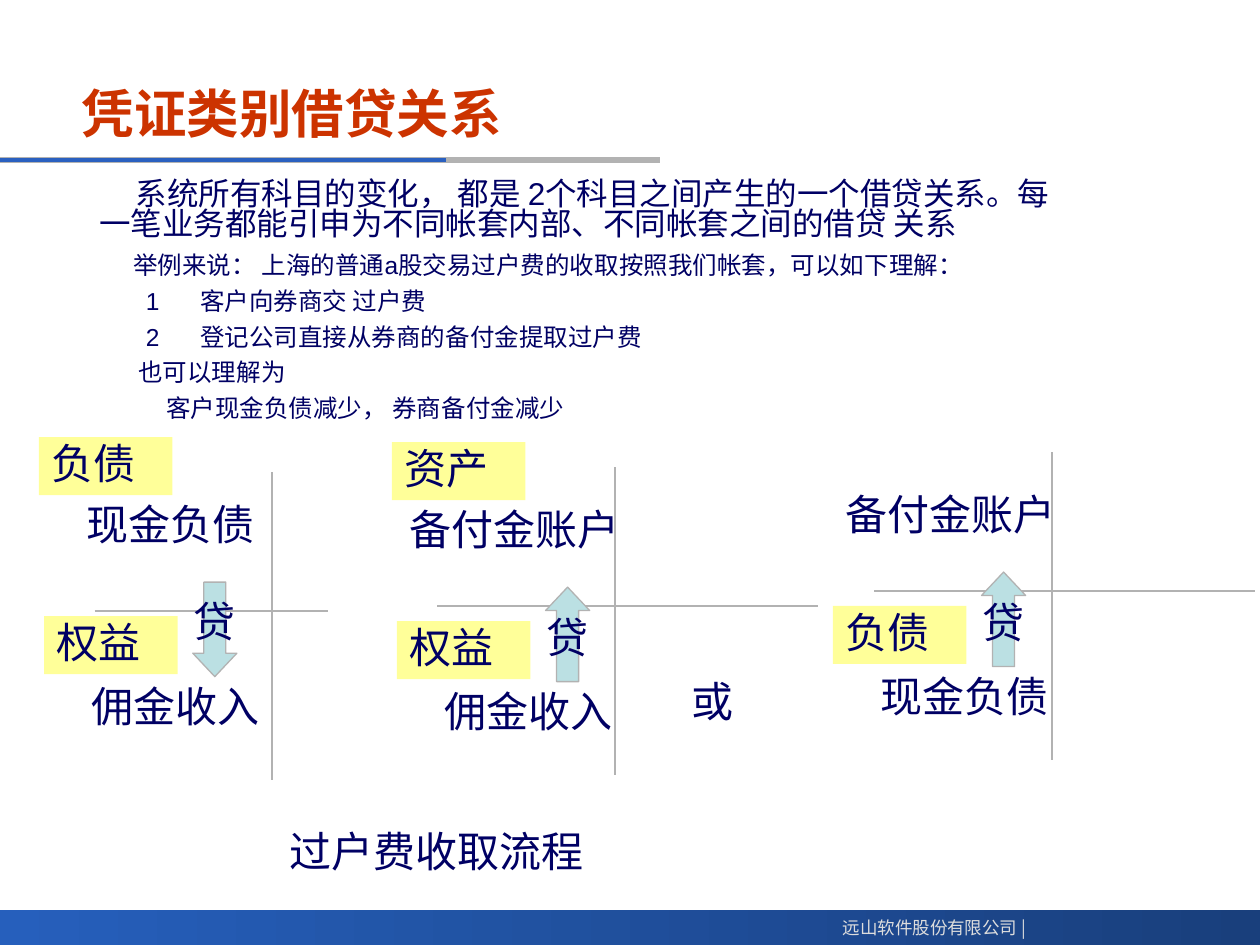
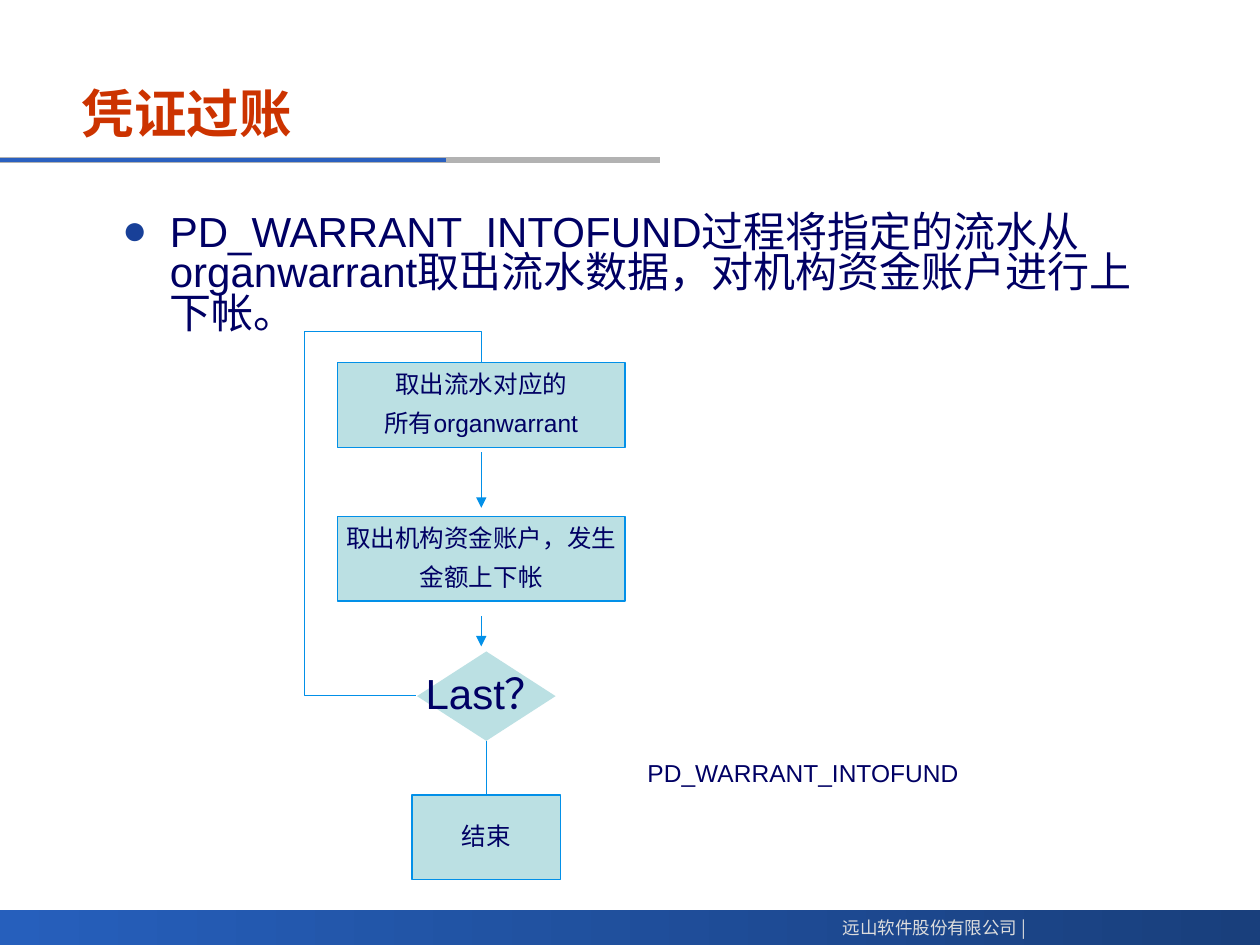
from dataclasses import dataclass

from lxml.etree import SubElement
from pptx import Presentation
from pptx.dml.color import RGBColor
from pptx.enum.shapes import MSO_CONNECTOR, MSO_SHAPE
from pptx.enum.text import MSO_ANCHOR, PP_ALIGN
from pptx.oxml.ns import qn
from pptx.util import Inches, Pt

NAVY = RGBColor(0x00, 0x00, 0x64)
TITLE_RED = RGBColor(0xCC, 0x33, 0x00)
RULE_BLUE = RGBColor(0x2A, 0x60, 0xC0)
RULE_GREY = RGBColor(0xB2, 0xB2, 0xB2)
BAND_DARK = RGBColor(0x19, 0x3F, 0x7C)
BAND_LIGHT = RGBColor(0x26, 0x5F, 0xBC)
FOOTER_GREY = RGBColor(0xDD, 0xDD, 0xDD)
LABEL_YELLOW = RGBColor(0xFF, 0xFF, 0x99)
PALE_TEAL = RGBColor(0xBB, 0xE0, 0xE3)
FLOW_BLUE = RGBColor(0x02, 0x90, 0xE8)
BULLET_BLUE = "184098"
LATIN_FONT = "Arial"
CJK_FONT = "Noto Sans CJK SC"


@dataclass(frozen=True)
class TextStyle:
    """Character and paragraph look of a text."""

    size: float = 24
    color: RGBColor = NAVY
    bold: bool = False
    font: str = LATIN_FONT
    align: PP_ALIGN = PP_ALIGN.LEFT
    anchor: MSO_ANCHOR = MSO_ANCHOR.TOP
    wrap: bool = True
    spacing: float = 0.9
    before: float = 6
    after: float = 6


@dataclass(frozen=True)
class Line:
    """One paragraph with its left margin and first-line indent in inches."""

    text: str
    margin: float = 0
    indent: float = 0
    bullet: str = ""


@dataclass(frozen=True)
class Box:
    """Position and size in inches."""

    left: float
    top: float
    width: float
    height: float


@dataclass(frozen=True)
class Account:
    """A T-account: its origin, cross, labels and arrow direction."""

    left: float
    top: float
    cross_x: float
    cross_y: float
    right_arm: float
    upper_class: str
    upper_name: str
    lower_class: str
    lower_name: str
    lower_name_left: float
    arrow: MSO_SHAPE


@dataclass(frozen=True)
class Step:
    """A box of the flow chart."""

    box: Box
    lines: tuple


TITLE = TextStyle(30, TITLE_RED, bold=True, anchor=MSO_ANCHOR.MIDDLE, spacing=1, before=0, after=0)
FOOTER = TextStyle(10, FOOTER_GREY, font=CJK_FONT, align=PP_ALIGN.RIGHT, wrap=False,
                   spacing=1, before=0, after=0)
INTRO = TextStyle(18, spacing=0.8, before=4.5, after=4.5)
EXAMPLE = TextStyle(14, spacing=0.8, before=3.5, after=3.5)
BULLET = TextStyle(spacing=0.8)
LABEL = TextStyle(before=15)
CAPTION = TextStyle(14, before=8.8, after=3.5)
SIGN = TextStyle(align=PP_ALIGN.CENTER, anchor=MSO_ANCHOR.MIDDLE, wrap=False)
STEP = TextStyle(14, align=PP_ALIGN.CENTER, anchor=MSO_ANCHOR.MIDDLE, wrap=False,
                 before=3.5, after=3.5)

EXPLANATION = (
    (Line("系统所有科目的变化， 都是 2个科目之间产生的一个借贷关系。"
          "每一笔业务都能引申为不同帐套内部、不同帐套之间的借贷 关系", 0.38, 0.29), INTRO),
    (Line("举例来说： 上海的普通a股交易过户费的收取按照我们帐套，可以如下理解：", 0.65), EXAMPLE),
    (Line("1\t客户向券商交 过户费", 1.18, -0.43), EXAMPLE),
    (Line("2\t登记公司直接从券商的备付金提取过户费", 1.18, -0.43), EXAMPLE),
    (Line("也可以理解为", 0.69), EXAMPLE),
    (Line("客户现金负债减少， 券商备付金减少", 0.91), EXAMPLE),
)
ACCOUNTS = (
    Account(0.31, 3.47, 2.16, 4.85, 0.44, "负债", "现金负债", "权益", "佣金收入", 0.32,
            MSO_SHAPE.DOWN_ARROW),
    Account(3.11, 3.51, 4.88, 4.81, 1.61, "资产", "备付金账户", "权益", "佣金收入", 0.32,
            MSO_SHAPE.UP_ARROW),
    Account(6.57, 3.39, 8.35, 4.69, 1.61, "", "备付金账户", "负债", "现金负债", 0.32,
            MSO_SHAPE.UP_ARROW),
)
FETCH = Step(Box(2.68, 2.88, 2.28, 0.67), (Line("取出流水对应的"), Line("所有organwarrant")))
POST = Step(Box(2.68, 4.1, 2.28, 0.67), (Line("取出机构资金账户，发生"), Line("金额上下帐")))
FINISH = Step(Box(3.27, 6.31, 1.18, 0.67), (Line("结束"),))
FLOW_X = 3.82


def write(shape, content: tuple) -> None:
    """Fill a shape with pairs of line and style."""
    frame = shape.text_frame
    frame.word_wrap = content[0][1].wrap
    frame.vertical_anchor = content[0][1].anchor
    for index, (line, style) in enumerate(content):
        paragraph = frame.add_paragraph() if index else frame.paragraphs[0]
        paragraph.alignment = style.align
        paragraph.line_spacing = style.spacing
        paragraph.space_before = Pt(style.before)
        paragraph.space_after = Pt(style.after)
        properties = paragraph._p.get_or_add_pPr()
        properties.set("marL", str(Inches(line.margin)))
        properties.set("indent", str(Inches(line.indent)))
        if line.bullet:
            color = SubElement(properties, qn("a:buClr"))
            SubElement(color, qn("a:srgbClr"), val=BULLET_BLUE)
            SubElement(properties, qn("a:buFont"), typeface=LATIN_FONT)
            SubElement(properties, qn("a:buChar"), char=line.bullet)
        run = paragraph.add_run()
        run.text = line.text
        run.font.size = Pt(style.size)
        run.font.bold = style.bold
        run.font.color.rgb = style.color
        run.font.name = style.font
        SubElement(run._r.get_or_add_rPr(), qn("a:ea"), typeface=CJK_FONT)


def place(box: Box) -> tuple:
    """Give a box as lengths."""
    return Inches(box.left), Inches(box.top), Inches(box.width), Inches(box.height)


def add_text(slide, box: Box, text: str, style: TextStyle) -> None:
    """Add a text box with one plain paragraph."""
    write(slide.shapes.add_textbox(*place(box)), ((Line(text), style),))


def add_block(slide, kind: MSO_SHAPE, box: Box, fill: RGBColor, outline: RGBColor | None = None):
    """Add a filled preset shape without a shadow."""
    block = slide.shapes.add_shape(kind, *place(box))
    block.shadow.inherit = False
    block.fill.solid()
    block.fill.fore_color.rgb = fill
    if outline is None:
        block.line.fill.background()
    else:
        block.line.color.rgb = outline
        block.line.width = Pt(0.75)
    return block


def add_line(slide, start: tuple, end: tuple, color: RGBColor, width: float = 0.75,
             kind: MSO_CONNECTOR = MSO_CONNECTOR.STRAIGHT, arrow: bool = False):
    """Add a connector, with an arrowhead at its end if asked."""
    line = slide.shapes.add_connector(kind, *(Inches(value) for value in start + end))
    line.line.color.rgb = color
    line.line.width = Pt(width)
    if arrow:
        SubElement(line.line._get_or_add_ln(), qn("a:tailEnd"), type="triangle")
    SubElement(line._element.spPr, qn("a:effectLst"))
    return line


def add_base(presentation, title: str):
    """Add a slide with footer band, title rule and title."""
    slide = presentation.slides.add_slide(presentation.slide_layouts[6])
    band = add_block(slide, MSO_SHAPE.RECTANGLE, Box(0, 7.22, 10, 0.28), BAND_DARK)
    band.fill.gradient()
    band.fill.gradient_angle = 180
    for stop, color in zip(band.fill.gradient_stops, (BAND_DARK, BAND_LIGHT)):
        stop.color.rgb = color
    add_line(slide, (0, 1.27), (5.24, 1.27), RULE_GREY, 3)
    add_line(slide, (0, 1.27), (3.54, 1.27), RULE_BLUE, 2.25)
    add_text(slide, Box(6.53, 7.23, 1.71, 0.27), "远山软件股份有限公司 |", FOOTER)
    add_text(slide, Box(0.55, 0.56, 6.92, 0.67), title, TITLE)
    return slide


def add_account(slide, account: Account) -> None:
    """Draw one T-account with its labels and credit arrow."""
    left, top, x, y = account.left, account.top, account.cross_x, account.cross_y
    add_line(slide, (x - 1.41, y), (x + account.right_arm, y), RULE_GREY)
    add_line(slide, (x, y - 1.1), (x, y + 1.34), RULE_GREY)
    for label, dx, dy in ((account.upper_class, 0, 0), (account.lower_class, 0.04, 1.42)):
        if label:
            tag = add_block(slide, MSO_SHAPE.RECTANGLE,
                            Box(left + dx, top + dy, 1.06, 0.46), LABEL_YELLOW)
            write(tag, ((Line(label), LABEL),))
    add_text(slide, Box(left + account.lower_name_left, top + 1.93, 1.61, 0.46),
             account.lower_name, LABEL)
    upper_left, upper_width = (0.28, 1.61) if len(account.upper_name) == 4 else (0.04, 2.09)
    add_text(slide, Box(left + upper_left, top + 0.48, upper_width, 0.46),
             account.upper_name, LABEL)
    arrow = add_block(slide, account.arrow, Box(left + 1.22, top + 1.15, 0.35, 0.75),
                      PALE_TEAL, RULE_GREY)
    arrow.adjustments[0] = 0.5
    arrow.adjustments[1] = 0.53
    write(arrow, ((Line("贷"), SIGN),))


def add_step(slide, step: Step):
    """Draw one box of the flow chart."""
    block = add_block(slide, MSO_SHAPE.RECTANGLE, step.box, PALE_TEAL, FLOW_BLUE)
    write(block, tuple((line, STEP) for line in step.lines))
    return block


def add_loop(slide) -> None:
    """Draw the way back from the decision to the first step."""
    loop = add_line(slide, (3.3, 5.52), (FLOW_X, 2.88), FLOW_BLUE, kind=MSO_CONNECTOR.ELBOW)
    geometry = loop._element.spPr.find(qn("a:prstGeom"))
    geometry.set("prst", "bentConnector4")
    guides = geometry.find(qn("a:avLst"))
    if guides is None:
        guides = SubElement(geometry, qn("a:avLst"))
    for name, value in (("adj1", -170000), ("adj2", 109500)):
        SubElement(guides, qn("a:gd"), name=name, fmla=f"val {value}")


def build_relations(presentation) -> None:
    """Build the slide on debit and credit relations."""
    slide = add_base(presentation, "凭证类别借贷关系")
    write(slide.shapes.add_textbox(*place(Box(0.31, 1.39, 8.31, 2.21))), EXPLANATION)
    for account in ACCOUNTS:
        add_account(slide, account)
    add_text(slide, Box(5.39, 5.36, 0.59, 0.46), "或", LABEL)
    add_text(slide, Box(2.2, 6.55, 3.66, 0.46), "过户费收取流程", LABEL)


def build_posting(presentation) -> None:
    """Build the slide on posting vouchers."""
    slide = add_base(presentation, "凭证过账")
    summary = Line("PD_WARRANT_INTOFUND过程将指定的流水从organwarrant取出流水数据，"
                   "对机构资金账户进行上下帐。", 0.38, -0.38, "●")
    write(slide.shapes.add_textbox(*place(Box(0.87, 1.66, 8.31, 1.18))), ((summary, BULLET),))
    add_step(slide, FETCH)
    add_step(slide, POST)
    finish = add_step(slide, FINISH)
    decision = add_block(slide, MSO_SHAPE.DIAMOND, Box(3.31, 5.17, 1.1, 0.71), PALE_TEAL)
    write(decision, ((Line("Last？"), SIGN),))
    add_loop(slide)
    ending = add_line(slide, (3.86, 5.88), (3.86, 6.31), FLOW_BLUE)
    ending.begin_connect(decision, 2)
    ending.end_connect(finish, 0)
    for top, bottom in ((3.59, 4.03), (4.89, 5.13)):
        add_line(slide, (FLOW_X, top), (FLOW_X, bottom), FLOW_BLUE, arrow=True)
    add_text(slide, Box(5.04, 5.99, 4.49, 0.31), "PD_WARRANT_INTOFUND", CAPTION)


def main() -> None:
    """Build and save the presentation."""
    presentation = Presentation()
    presentation.slide_width = Inches(10)
    presentation.slide_height = Inches(7.5)
    build_relations(presentation)
    build_posting(presentation)
    presentation.save("out.pptx")


if __name__ == "__main__":
    main()
